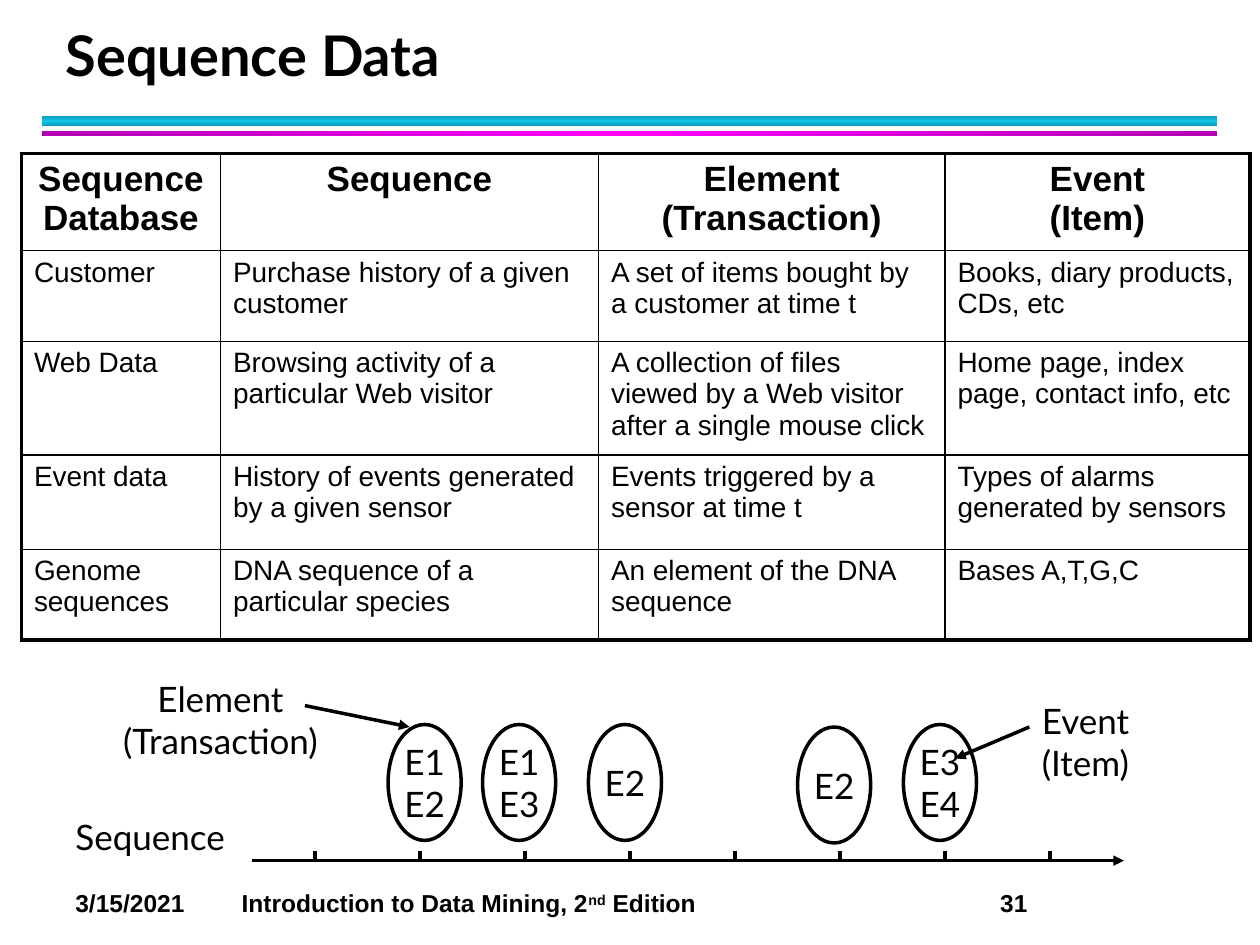
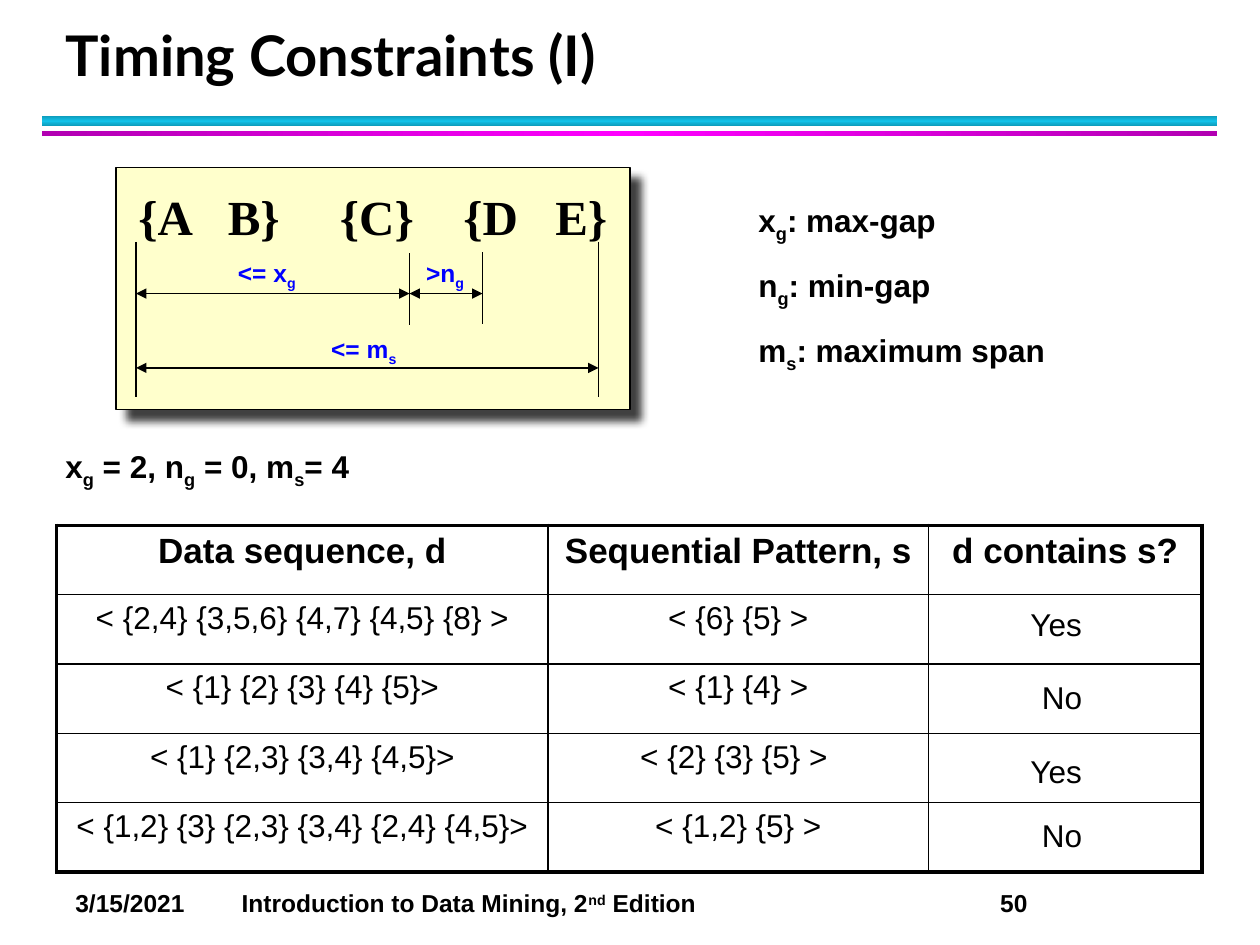
import copy

import lxml.etree
import pptx
import pptx.dml.color
import pptx.enum.shapes
import pptx.enum.text
import pptx.oxml.ns
import pptx.util

Inches = pptx.util.Inches
Pt = pptx.util.Pt
qn = pptx.oxml.ns.qn
SubElement = lxml.etree.SubElement
SHAPE = pptx.enum.shapes.MSO_SHAPE
STRAIGHT = pptx.enum.shapes.MSO_CONNECTOR.STRAIGHT
ANCHOR = pptx.enum.text.MSO_ANCHOR
LEFT = pptx.enum.text.PP_ALIGN.LEFT
CENTER = pptx.enum.text.PP_ALIGN.CENTER

BLACK = "000000"
BLUE = "0000FF"
CREAM = "FFFFCC"
TITLE_FONT = {"name": "Lato", "size": Pt(32), "bold": True}
DIAGRAM_FONT = {"name": "Lato", "size": Pt(20), "bold": False}
HEADER_FONT = {"name": "Arial", "size": Pt(20), "bold": True}
SMALL_FONT = {"name": "Arial", "size": Pt(14), "bold": True}
LEGEND_FONT = {"name": "Arial", "size": Pt(18), "bold": True}
ANSWER_FONT = {"name": "Arial", "size": Pt(18), "bold": False}
CELL_FORMAT = {"space_before": Pt(2), "space_after": Pt(4)}
LEGEND_FORMAT = {"space_before": Pt(2), "space_after": Pt(10.5)}


def colour(value):
    return pptx.dml.color.RGBColor.from_string(value)


def write(frame, paragraphs, font, text_colour=BLACK, baseline=-25, tabs=(), **paragraph_format):
    for index, text in enumerate(paragraphs):
        paragraph = frame.add_paragraph() if index else frame.paragraphs[0]
        for name, value in {"alignment": LEFT, **paragraph_format}.items():
            setattr(paragraph, name, value)
        if tabs:
            tab_list = SubElement(paragraph._p.get_or_add_pPr(), qn("a:tabLst"))
            for position in tabs:
                SubElement(tab_list, qn("a:tab"), pos=str(Inches(position)), algn="l")
        for part_index, part in enumerate(text.split("|")):
            for line_index, line in enumerate(part.split("\n")):
                if line_index:
                    paragraph.add_line_break()
                run = paragraph.add_run()
                run.text = line
                for name, value in font.items():
                    setattr(run.font, name, value)
                run.font.color.rgb = colour(text_colour)
                if part_index % 2:
                    run._r.get_or_add_rPr().set("baseline", str(baseline * 1000))


pages = [
    {
        "title": "Sequence Data",
        "number": "31",
        "table_at": (0.17, 1.22),
        "columns": [1.58, 3, 2.75, 2.42],
        "rows": [0.77, 0.72, 0.9, 0.75, 0.72],
        "body_size": 16,
        "body_alignment": LEFT,
        "cells": [
            ["Sequence Database", "Sequence", "Element (Transaction)", "Event\n(Item)"],
            ["Customer", "Purchase history of a given customer",
             "A set of items bought by a customer at time t", "Books, diary products, CDs, etc"],
            ["Web Data", "Browsing activity of a particular Web visitor",
             "A collection of files viewed by a Web visitor after a single mouse click",
             "Home page, index page, contact info, etc"],
            ["Event data", "History of events generated by a given sensor",
             "Events triggered by a sensor at time t", "Types of alarms generated by sensors"],
            ["Genome sequences", "DNA sequence of a particular species",
             "An element of the DNA sequence", "Bases A,T,G,C"],
        ],
    },
    {
        "title": "Timing Constraints (I)",
        "number": "50",
        "table_at": (0.45, 4.17),
        "columns": [3.9, 3.02, 2.17],
        "rows": [0.55] * 5,
        "body_size": 18,
        "body_alignment": CENTER,
        "cells": [
            ["Data sequence, d", "Sequential Pattern, s", "d contains s?"],
            ["< {2,4} {3,5,6} {4,7} {4,5} {8} >", "< {6} {5} >", ""],
            ["< {1} {2} {3} {4} {5}>", "< {1} {4} >", ""],
            ["< {1} {2,3} {3,4} {4,5}>", "< {2} {3} {5} > ", ""],
            ["< {1,2} {3} {2,3} {3,4} {2,4} {4,5}>", "< {1,2} {5} >", ""],
        ],
    },
]
bands = [(0.92, 0.08, "0E9BBA", "12C2E9", 90), (1.04, 0.04, "B200B2", "FF00FF", 0)]

presentation = pptx.Presentation()
presentation.slide_width = Inches(10)
presentation.slide_height = Inches(7.5)
slides = []

for page in pages:
    slide = presentation.slides.add_slide(presentation.slide_layouts[5])
    slides.append(slide)

    title = slide.shapes.title
    for name, value in {"left": 0.42, "top": 0.17, "width": 9.06, "height": 0.58}.items():
        setattr(title, name, Inches(value))
    title_format = {
        "vertical_anchor": ANCHOR.BOTTOM,
        "word_wrap": True,
        "auto_size": pptx.enum.text.MSO_AUTO_SIZE.NONE,
    }
    for name, value in title_format.items():
        setattr(title.text_frame, name, value)
    write(title.text_frame, [page["title"]], TITLE_FONT, line_spacing=Pt(36))

    for top, height, edge, middle, angle in bands:
        band = slide.shapes.add_shape(
            SHAPE.RECTANGLE, Inches(0.33), Inches(top), Inches(9.33), Inches(height))
        band.shadow.inherit = False
        band.line.fill.background()
        band.fill.gradient()
        band.fill.gradient_angle = angle
        for stop, value, position in zip(band.fill.gradient_stops, (edge, middle), (0, 0.5)):
            stop.color.rgb = colour(value)
            stop.position = position
        stop_list = band._element.spPr.find(".//" + qn("a:gsLst"))
        stop_list.append(copy.deepcopy(stop_list[0]))
        stop_list[2].set("pos", "100000")

    footer = slide.shapes.add_textbox(Inches(0.5), Inches(7), Inches(9.33), Inches(0.34))
    footer.text_frame.word_wrap = True
    footer_text = f"3/15/2021\tIntroduction to Data Mining, 2|nd| Edition\t{page['number']}"
    write(footer.text_frame, [footer_text], SMALL_FONT, baseline=30, tabs=(1.32, 7.34))

    left, top = page["table_at"]
    columns, rows = page["columns"], page["rows"]
    table = slide.shapes.add_table(
        len(rows), len(columns), Inches(left), Inches(top),
        Inches(sum(columns)), Inches(sum(rows))).table
    for column, width in zip(table.columns, columns):
        column.width = Inches(width)
    for row, height in zip(table.rows, rows):
        row.height = Inches(height)
    body_font = {"name": "Arial", "size": Pt(page["body_size"]), "bold": False}
    for row_index, texts in enumerate(page["cells"]):
        for column_index, text in enumerate(texts):
            cell = table.cell(row_index, column_index)
            outer_edges = {
                "a:lnL": column_index == 0,
                "a:lnR": column_index == len(columns) - 1,
                "a:lnT": row_index == 0,
                "a:lnB": row_index == len(rows) - 1,
            }
            for tag, is_outer in outer_edges.items():
                border = SubElement(cell._tc.get_or_add_tcPr(), qn(tag),
                                    w=str(Pt(2.25 if is_outer else 1)))
                border_fill = SubElement(border, qn("a:solidFill"))
                SubElement(border_fill, qn("a:srgbClr"), val=BLACK)
            cell.fill.background()
            if text:
                write(cell.text_frame, [text], body_font if row_index else HEADER_FONT,
                      alignment=page["body_alignment"] if row_index else CENTER, **CELL_FORMAT)

sequence_slide, timing_slide = slides

ovals = [(3.08, 5.75, "E1\nE2"), (3.83, 5.75, "E1\nE3"), (4.67, 5.75, "E2"),
         (7.17, 5.75, "E3\nE4"), (6.33, 5.77, "E2")]
for left, top, text in ovals:
    oval = sequence_slide.shapes.add_shape(
        SHAPE.OVAL, Inches(left), Inches(top), Inches(0.58), Inches(0.92))
    oval.shadow.inherit = False
    oval.fill.background()
    oval.line.color.rgb = colour(BLACK)
    oval.line.width = Pt(2)
    oval.text_frame.word_wrap = False
    oval.text_frame.vertical_anchor = ANCHOR.MIDDLE
    write(oval.text_frame, [text], DIAGRAM_FONT, alignment=CENTER)

panel = timing_slide.shapes.add_shape(
    SHAPE.RECTANGLE, Inches(0.92), Inches(1.33), Inches(4.08), Inches(1.92))
panel.shadow.inherit = False
panel.fill.solid()
panel.fill.fore_color.rgb = colour(CREAM)
panel.line.color.rgb = colour(BLACK)
panel.line.width = Pt(0.75)
shadow = SubElement(panel._element.spPr.find(qn("a:effectLst")), qn("a:outerShdw"),
                    blurRad=str(Pt(5)), dist=str(Pt(8.5)), dir=str(45 * 60000),
                    algn="ctr", rotWithShape="0")
shadow_colour = SubElement(shadow, qn("a:srgbClr"), val=BLACK)
SubElement(shadow_colour, qn("a:alpha"), val="75000")

pattern_font = {"name": "Times New Roman", "size": Pt(28), "bold": True}
panel_texts = [
    (1, 1.43, 3.94, 0.57, "{A\tB}\t{C}\t{D\tE}", pattern_font, BLACK, (0.71, 1.6, 2.58, 3.31)),
    (2.53, 2.6, 0.72, 0.33, "<= m|s", SMALL_FONT, BLUE, ()),
    (1.79, 2, 0.66, 0.33, "<= x|g", SMALL_FONT, BLUE, ()),
    (3.23, 2, 0.56, 0.33, " >n|g", SMALL_FONT, BLUE, ()),
]
for left, top, width, height, text, font, text_colour, tabs in panel_texts:
    box = timing_slide.shapes.add_textbox(
        Inches(left), Inches(top), Inches(width), Inches(height))
    box.fill.solid()
    box.fill.fore_color.rgb = colour(CREAM)
    box.text_frame.word_wrap = bool(tabs)
    write(box.text_frame, [text], font, text_colour, tabs=tabs)

labels = [
    (sequence_slide, 0.5, 6.42, 1.67, 0.43, ["Sequence"], DIAGRAM_FONT, {}),
    (sequence_slide, 0.75, 5.33, 2, 0.77, ["Element (Transaction)"], DIAGRAM_FONT,
     {"alignment": CENTER}),
    (sequence_slide, 8.17, 5.5, 1.08, 0.77, ["Event \n(Item)"], DIAGRAM_FONT, {}),
    (timing_slide, 5.92, 1.55, 3.42, 1.36,
     ["x|g|: max-gap", "n|g|: min-gap", "m|s|: maximum span"], LEGEND_FONT, LEGEND_FORMAT),
    (timing_slide, 0.42, 3.5, 8.58, 0.4, ["x|g| = 2, n|g| = 0, m|s|= 4"],
     LEGEND_FONT, LEGEND_FORMAT),
    (timing_slide, 8.08, 4.75, 0.83, 0.4, ["Yes"], ANSWER_FONT, {}),
    (timing_slide, 8.17, 5.33, 0.58, 0.4, ["No"], ANSWER_FONT, {}),
    (timing_slide, 8.08, 5.92, 0.83, 0.4, ["Yes"], ANSWER_FONT, {}),
    (timing_slide, 8.17, 6.43, 0.58, 0.4, ["No"], ANSWER_FONT, {}),
]
for slide, left, top, width, height, texts, font, paragraph_format in labels:
    label = slide.shapes.add_textbox(Inches(left), Inches(top), Inches(width), Inches(height))
    label.text_frame.word_wrap = True
    write(label.text_frame, texts, font, **paragraph_format)

ONE_ARROW = ["a:tailEnd"]
TWO_ARROWS = ["a:headEnd", "a:tailEnd"]
ticks = [2.5 + index * 5 / 6 for index in range(8)]
lines = [
    (sequence_slide, 2, 2, 6.83, 8.92, 6.83, ONE_ARROW),
    (sequence_slide, 2, 2.42, 5.6, 3.25, 5.77, ONE_ARROW),
    (sequence_slide, 2, 8.17, 5.77, 7.58, 6.02, ONE_ARROW),
    *[(sequence_slide, 2, tick, 6.75, tick, 6.83, []) for tick in ticks],
    (timing_slide, 0.75, 1.08, 2.92, 4.75, 2.92, TWO_ARROWS),
    (timing_slide, 0.75, 1.08, 2.33, 3.25, 2.33, TWO_ARROWS),
    (timing_slide, 0.75, 3.25, 2.33, 3.83, 2.33, TWO_ARROWS),
    (timing_slide, 0.75, 1.08, 1.92, 1.08, 3.15, []),
    (timing_slide, 0.75, 4.75, 1.92, 4.75, 3.15, []),
    (timing_slide, 0.75, 3.25, 2.01, 3.25, 2.58, []),
    (timing_slide, 0.75, 3.83, 2, 3.83, 2.57, []),
]
for slide, weight, start_x, start_y, end_x, end_y, arrowheads in lines:
    connector = slide.shapes.add_connector(
        STRAIGHT, Inches(start_x), Inches(start_y), Inches(end_x), Inches(end_y))
    connector.line.color.rgb = colour(BLACK)
    connector.line.width = Pt(weight)
    properties = connector._element.spPr
    for tag in arrowheads:
        SubElement(properties.find(qn("a:ln")), qn(tag), type="triangle")
    SubElement(properties, qn("a:effectLst"))

presentation.save("out.pptx")
